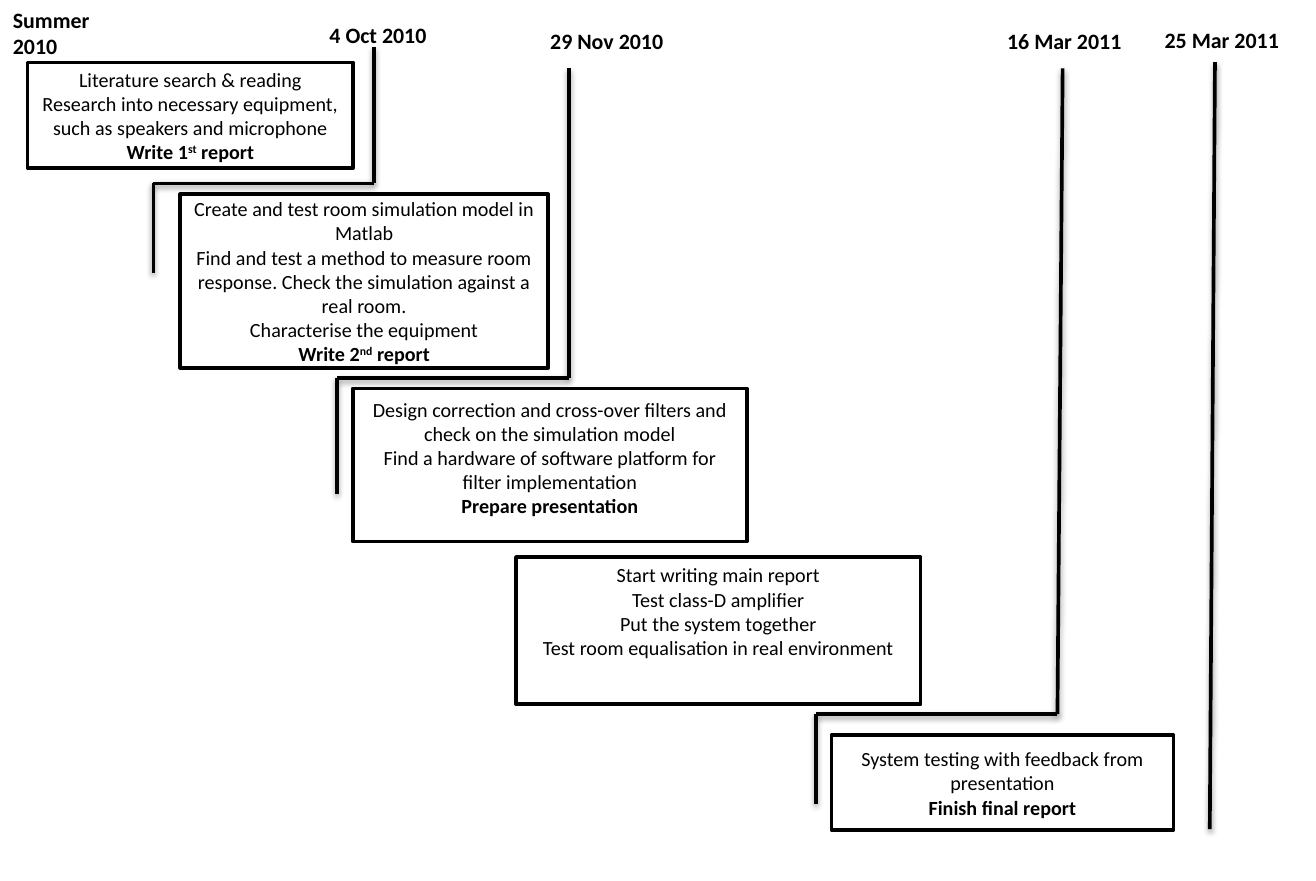
from itertools import pairwise

from lxml.etree import fromstring
from pptx import Presentation
from pptx.dml.color import RGBColor
from pptx.enum.shapes import MSO_CONNECTOR as CONN, MSO_SHAPE as SHAPE
from pptx.enum.text import MSO_ANCHOR as ANCHOR, PP_ALIGN as ALIGN
from pptx.util import Cm, Pt

COLORS = {"ink": "000000"}
INK = RGBColor.from_string(COLORS["ink"])
BODY = {"name": "Calibri", "size": Pt(11), "bold": False}
BOLD = {**BODY, "bold": True}
DATE = {**BOLD, "size": Pt(12)}
RAISED = 30000  # superscript offset in 1/1000 percent

SHADOW = f"""<a:effectLst xmlns:a="http://schemas.openxmlformats.org/drawingml/2006/main">
<a:outerShdw blurRad="40000" dist="20000" dir="5400000" rotWithShape="0">
<a:srgbClr val="{COLORS['ink']}"><a:alpha val="38000"/></a:srgbClr>
</a:outerShdw></a:effectLst>"""

# (left, top, width, height) in cm, anchor, top inset, plain lines,
# closing bold line as (text, is superscript) pieces
STAGES = [
    ((0.53, 1.21, 6.29, 2.03), ANCHOR.MIDDLE, 0.13,
     ["Literature search & reading",
      "Research into necessary equipment, such as speakers and microphone"],
     [("Write 1", False), ("st", True), (" report", False)]),
    ((3.48, 3.75, 7.1, 3.35), ANCHOR.MIDDLE, 0.13,
     ["Create and test room simulation model in Matlab",
      "Find and test a method to measure room response. "
      "Check the simulation against a real room.",
      "Characterise the equipment"],
     [("Write 2", False), ("nd", True), (" report", False)]),
    ((6.81, 7.5, 7.61, 2.95), ANCHOR.TOP, 0.16,
     ["Design correction and cross-over filters and check on the simulation model",
      "Find a hardware of software platform for filter implementation"],
     [("Prepare presentation", False)]),
    ((9.96, 10.75, 7.81, 2.84), ANCHOR.TOP, 0.11,
     ["Start writing main report", "Test class-D amplifier",
      "Put the system together", "Test room equalisation in real environment"],
     []),
    ((16.05, 14.19, 6.6, 1.83), ANCHOR.MIDDLE, 0.13,
     ["System testing with feedback from presentation"],
     [("Finish final report", False)]),
]

# left, top, width in cm, lines
DATES = [
    (0, 0, 2.24, ["Summer", "2010"]),
    (6.11, 0.3, 2.5, ["4 Oct 2010"]),
    (10.37, 0.4, 2.8, ["29 Nov 2010"]),
    (19.19, 0.4, 2.8, ["16 Mar 2011"]),
    (22.23, 0.38, 2.8, ["25 Mar 2011"]),
]
DATE_LINE, DATE_PAD = 0.5, 0.26

# corner points in cm
DEADLINES = [
    [(7.22, 0.91), (7.22, 3.54), (2.96, 3.54), (2.96, 5.26)],
    [(10.98, 1.32), (10.98, 7.3), (6.51, 7.3), (6.51, 9.53)],
    [(20.51, 1.32), (20.41, 13.78), (15.75, 13.78), (15.75, 15.52)],
    [(23.45, 1.2), (23.35, 16)],
]


def add_paragraphs(tf, paragraphs, align):
    """Fill a text frame; each paragraph is a list of (text, raised, format)."""
    tf.word_wrap = True
    for i, runs in enumerate(paragraphs):
        p = tf.add_paragraph() if i else tf.paragraphs[0]
        p.alignment = align
        for text, raised, fmt in runs:
            r = p.add_run()
            r.text = text
            r.font.color.rgb = INK
            for key, value in fmt.items():
                setattr(r.font, key, value)
            if raised:
                r.font._element.set("baseline", str(RAISED))


def draw_line(line):
    line.color.rgb = INK
    line.width = Pt(2)


def add_stage(s, place, anchor, inset, lines, closing):
    sp = s.shapes.add_shape(SHAPE.RECTANGLE, *map(Cm, place))
    sp.shadow.inherit = False
    sp.fill.background()
    draw_line(sp.line)
    tf = sp.text_frame
    tf.vertical_anchor = anchor
    tf.margin_top = Cm(inset)
    paragraphs = [[(text, False, BODY)] for text in lines]
    if closing:
        paragraphs.append([(text, raised, BOLD) for text, raised in closing])
    add_paragraphs(tf, paragraphs, ALIGN.CENTER)


def add_date(s, left, top, width, lines):
    height = DATE_LINE * len(lines) + DATE_PAD
    sp = s.shapes.add_textbox(*map(Cm, (left, top, width, height)))
    add_paragraphs(sp.text_frame, [[(t, False, DATE)] for t in lines], ALIGN.LEFT)


def add_deadline(s, points):
    for start, end in pairwise(points):
        cxn = s.shapes.add_connector(CONN.STRAIGHT, *map(Cm, start + end))
        draw_line(cxn.line)
        cxn._element.spPr.append(fromstring(SHADOW))


def main():
    prs = Presentation()
    prs.slide_width = Cm(25.4)
    prs.slide_height = Cm(17)
    s = prs.slides.add_slide(prs.slide_layouts[6])
    for stage in STAGES:
        add_stage(s, *stage)
    for date in DATES:
        add_date(s, *date)
    for points in DEADLINES:
        add_deadline(s, points)
    prs.save("out.pptx")


if __name__ == "__main__":
    main()
